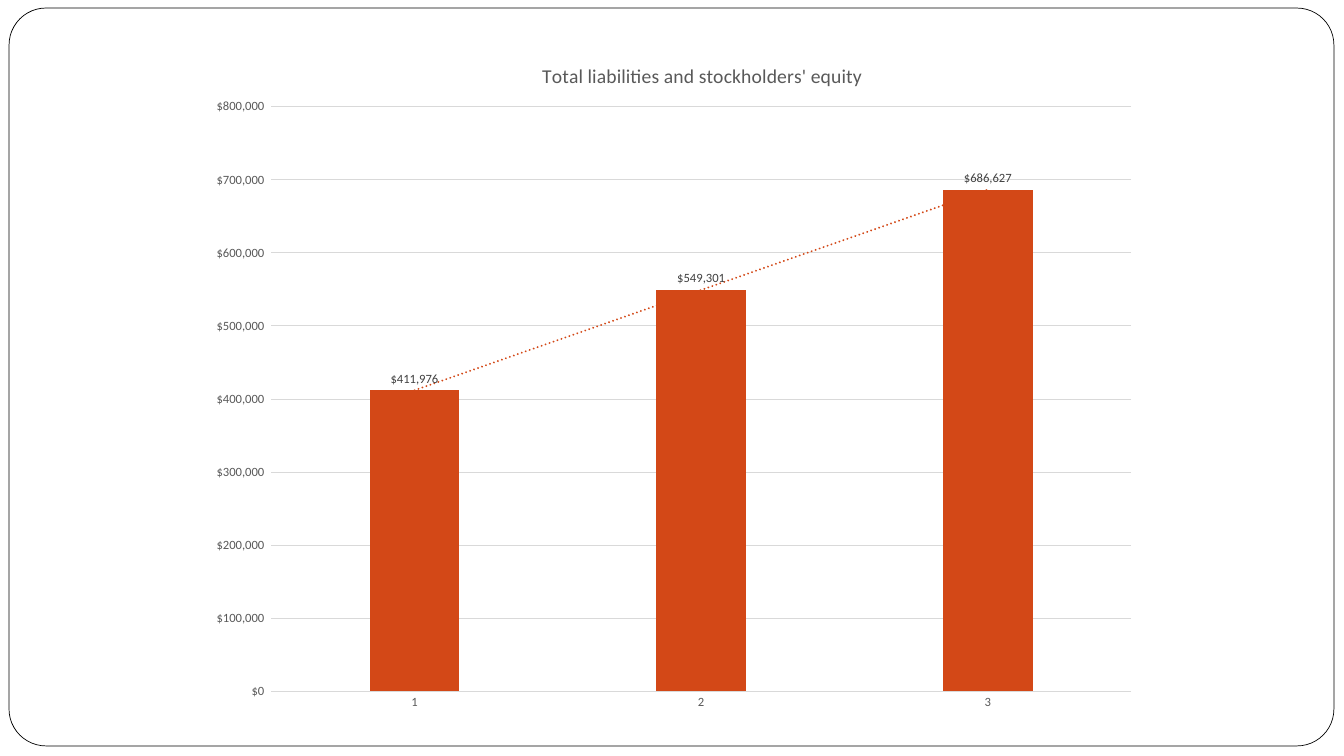
from lxml.etree import SubElement
from pptx import Presentation
from pptx.chart.data import CategoryChartData
from pptx.dml.color import RGBColor
from pptx.enum.chart import XL_CHART_TYPE, XL_LABEL_POSITION, XL_TICK_MARK
from pptx.enum.shapes import MSO_SHAPE
from pptx.oxml import parse_xml
from pptx.oxml.ns import nsdecls, qn
from pptx.util import Inches, Pt

HEADING = "Total liabilities and stockholders' equity"
TOTALS = {"1": 411976, "2": 549301, "3": 686627}
DOLLARS = r'_("$"#,##0_);_("$"\(#,##0\);_(@_)'
ORANGE, GRAY, PALE, DARK = "D34817", "595959", "D9D9D9", "404040"
CHART_LEFT, CHART_TOP, CHART_WIDTH, CHART_HEIGHT = 1.93, 0.31, 9.48, 6.88


def color(hex_code):
    return RGBColor.from_string(hex_code)


def style_font(font, size, hex_code):
    font.name = "Calibri"
    font.size = Pt(size)
    font.bold = False
    font.color.rgb = color(hex_code)


def style_line(line, hex_code, width):
    line.color.rgb = color(hex_code)
    line.width = Pt(width)


def add_frame(slide):
    frame = slide.shapes.add_shape(
        MSO_SHAPE.ROUNDED_RECTANGLE,
        Inches(0.09), Inches(0.08), Inches(13.14), Inches(7.32))
    frame.adjustments[0] = 0.05
    frame.shadow.inherit = False
    frame.fill.solid()
    frame.fill.fore_color.rgb = color("FFFFFF")
    style_line(frame.line, "000000", 0.5)


def place(part, index, settings):
    """Give a chart part a manual layout at the given child index."""
    for old in part.findall(qn("c:layout")):
        part.remove(old)
    layout = parse_xml(f"<c:layout {nsdecls('c')}/>")
    manual = SubElement(layout, qn("c:manualLayout"))
    for tag, value in settings.items():
        SubElement(manual, qn(f"c:{tag}")).set("val", str(value))
    part.insert(index, layout)


def style_axis(axis):
    axis.major_tick_mark = axis.minor_tick_mark = XL_TICK_MARK.NONE
    style_font(axis.tick_labels.font, 9, GRAY)


def add_trend_line(series):
    trend = parse_xml(
        f"<c:trendline {nsdecls('c', 'a')}>"
        f'<c:spPr><a:ln w="{Pt(1.5)}" cap="rnd"><a:solidFill><a:srgbClr val="{ORANGE}"/>'
        '</a:solidFill><a:prstDash val="sysDot"/></a:ln></c:spPr>'
        '<c:trendlineType val="linear"/><c:dispRSqr val="0"/><c:dispEq val="0"/>'
        "</c:trendline>")
    series.data_labels._element.addnext(trend)


def add_equity_chart(slide):
    equity = CategoryChartData(number_format=DOLLARS)
    equity.categories = list(TOTALS)
    equity.add_series(HEADING, list(TOTALS.values()))
    chart = slide.shapes.add_chart(
        XL_CHART_TYPE.COLUMN_CLUSTERED, Inches(CHART_LEFT), Inches(CHART_TOP),
        Inches(CHART_WIDTH), Inches(CHART_HEIGHT), equity).chart
    style_font(chart.font, 10, "000000")
    chart.has_legend = False

    # Heading
    heading = chart.chart_title.text_frame
    heading.text = HEADING
    style_font(heading.paragraphs[0].runs[0].font, 14, GRAY)

    # Axes
    years, dollars = chart.category_axis, chart.value_axis
    style_axis(years)
    style_line(years.format.line, PALE, 0.75)
    style_axis(dollars)
    dollars.format.line.fill.background()
    style_line(dollars.major_gridlines.format.line, PALE, 0.75)
    dollars.minimum_scale, dollars.maximum_scale = 0, 800000
    dollars.major_unit = 100000
    dollars.tick_labels.number_format = DOLLARS
    dollars.tick_labels.number_format_is_linked = False

    # Columns, their labels and the trend
    columns = chart.plots[0]
    columns.gap_width, columns.overlap = 219, -27
    columns.vary_by_categories = False
    totals = columns.series[0]
    totals.format.fill.solid()
    totals.format.fill.fore_color.rgb = color(ORANGE)
    labels = totals.data_labels
    labels.show_value = True
    labels.position = XL_LABEL_POSITION.OUTSIDE_END
    labels.number_format = DOLLARS
    labels.number_format_is_linked = False
    style_font(labels.font, 9, DARK)
    add_trend_line(totals)

    # Places of the heading and the plot within the chart
    space = chart._chartSpace
    place(space.find(".//" + qn("c:title")), 1, {
        "xMode": "edge", "yMode": "edge", "x": 0.36, "y": 0.04})
    place(space.find(".//" + qn("c:plotArea")), 0, {
        "layoutTarget": "inner", "xMode": "edge", "yMode": "edge",
        "x": (2.69 - CHART_LEFT) / CHART_WIDTH,
        "y": (1.06 - CHART_TOP) / CHART_HEIGHT,
        "w": 8.53 / CHART_WIDTH, "h": 5.8 / CHART_HEIGHT})


def main():
    deck = Presentation()
    deck.slide_width, deck.slide_height = Inches(13.33), Inches(7.5)
    slide = deck.slides.add_slide(deck.slide_layouts[6])
    add_frame(slide)
    add_equity_chart(slide)
    deck.save("out.pptx")


if __name__ == "__main__":
    main()
